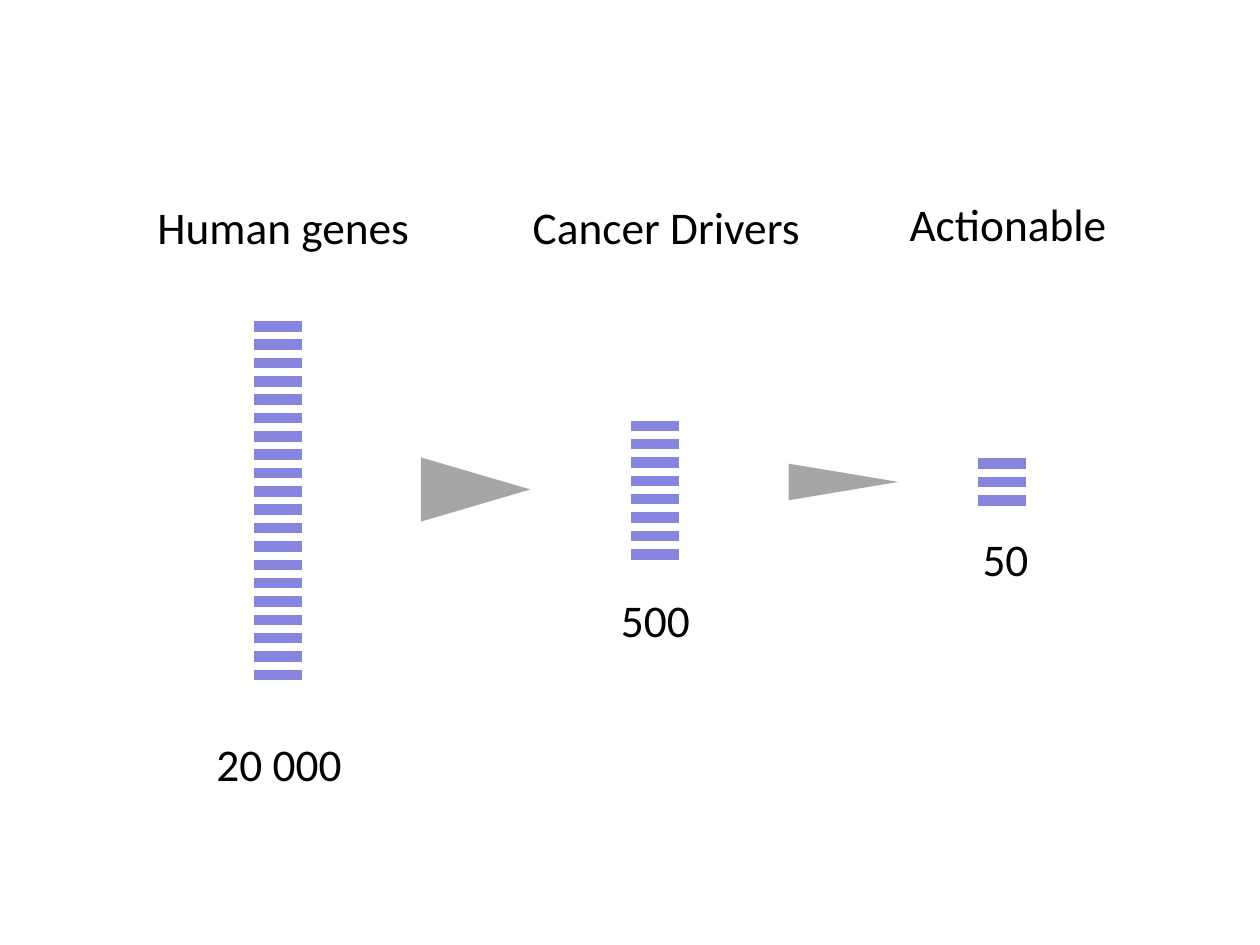
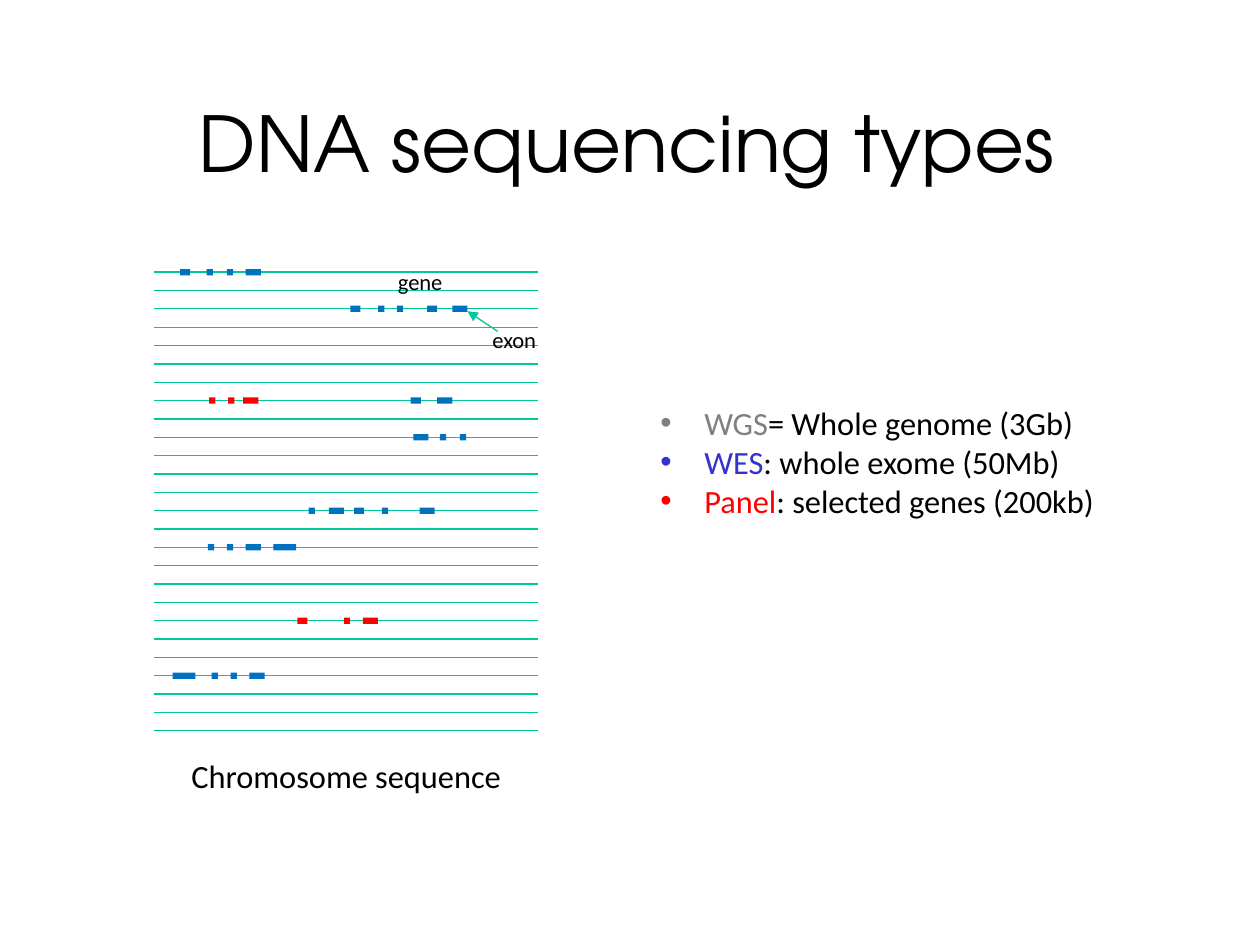
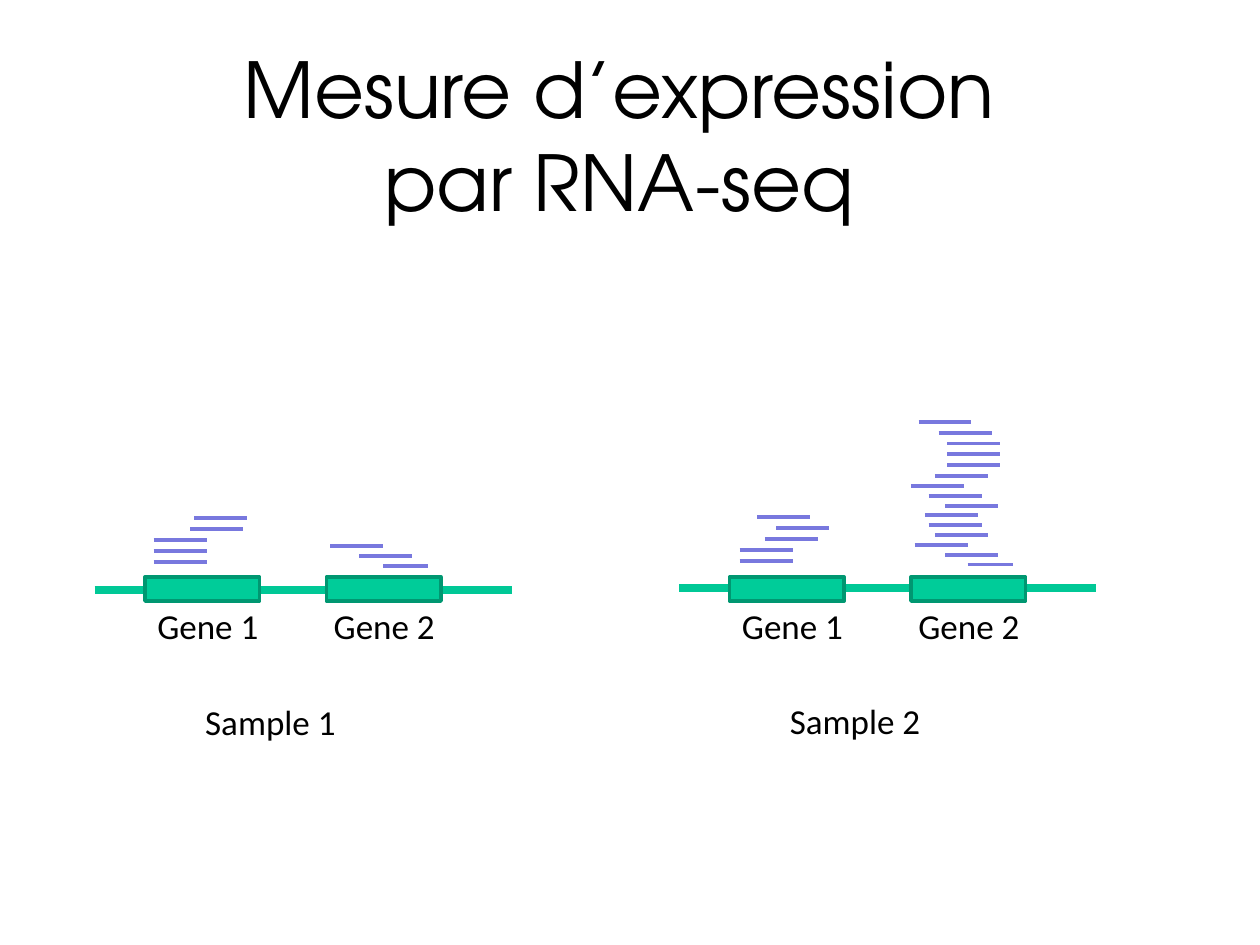
"""Build three slides on cancer genes, DNA sequencing types and RNA-seq."""
from typing import NamedTuple

from lxml import etree
from pptx import Presentation
from pptx.dml.color import RGBColor
from pptx.enum.shapes import MSO_CONNECTOR, MSO_SHAPE
from pptx.enum.text import MSO_ANCHOR, MSO_AUTO_SIZE, PP_ALIGN
from pptx.oxml.ns import qn
from pptx.util import Emu, Inches, Pt

LINE = MSO_CONNECTOR.STRAIGHT
RECT = MSO_SHAPE.RECTANGLE
WEDGE = MSO_SHAPE.ISOSCELES_TRIANGLE
MIDDLE = MSO_ANCHOR.MIDDLE
GROW = MSO_AUTO_SIZE.SHAPE_TO_FIT_TEXT
FIXED = MSO_AUTO_SIZE.NONE
LEFT, CENTER = PP_ALIGN.LEFT, PP_ALIGN.CENTER

BLACK = RGBColor(0x00, 0x00, 0x00)
GRAY = RGBColor(0x80, 0x80, 0x80)
SILVER = RGBColor(0xA6, 0xA6, 0xA6)
LILAC = RGBColor(0x85, 0x85, 0xE0)
VIOLET = RGBColor(0x78, 0x78, 0xDE)
INDIGO = RGBColor(0x33, 0x33, 0xCC)
BLUE = RGBColor(0x00, 0x70, 0xC0)
RED = RGBColor(0xFF, 0x00, 0x00)
GREEN = RGBColor(0x00, 0xC8, 0x96)
MINT = RGBColor(0x00, 0xCC, 0x99)
PINE = RGBColor(0x00, 0x97, 0x71)

BODY_FONT, TITLE_FONT = "Calibri", "TeX Gyre Adventor"
WIDTH, HEIGHT = Inches(10), Inches(7.5)
CELL = WIDTH / 10
STRANDS = 26
TOP, BOTTOM = 2.16, 5.80
STEP = (BOTTOM - TOP) / (STRANDS - 1)
THICK = 0.05
DOT, DASH, BAR, LONG = 0.05, 0.08, 0.12, 0.18
READ, SHORT = 0.42, 0.36


class Box(NamedTuple):
    """Place and size in grid cells."""
    left: float
    top: float
    width: float
    height: float


class Run(NamedTuple):
    """Text in one colour."""
    text: str
    color: RGBColor = BLACK


class Stack(NamedTuple):
    """Ladder of bars with a heading and a count."""
    head: str
    head_box: Box
    left: float
    top: float
    bars: int
    count: str
    count_box: Box


class Gene(NamedTuple):
    """Exons of a gene on one strand, each with a start and a length."""
    row: int
    color: RGBColor
    exons: tuple[tuple[float, float], ...]


class Pile(NamedTuple):
    """Reads evenly piled from low to high."""
    low: float
    high: float
    starts: tuple[float, ...]
    first: float = READ


class Sample(NamedTuple):
    """Chromosome with two genes and their reads."""
    name: str
    left: float
    axis: float
    piles: tuple[Pile, ...]


STACKS = (
    Stack("Human genes", Box(1.15, 1.53, 2.22, 0.54), 2.02, 2.59, 20,
          "20 000", Box(1.62, 5.79, 1.2, 0.54)),
    Stack("Cancer Drivers", Box(4.13, 1.53, 2.33, 0.54), 5.01, 3.38, 8,
          "500", Box(4.83, 4.65, 0.75, 0.54)),
    Stack("Actionable", Box(7.12, 1.51, 1.78, 0.54), 7.76, 3.68, 3,
          "50", Box(7.7, 4.17, 0.57, 0.54)),
)
WEDGES = (Box(3.52, 3.45, 0.51, 0.87), Box(6.55, 3.39, 0.29, 0.87))
GENES = (
    Gene(0, BLUE, ((1.43, DASH), (1.64, DOT), (1.8, DOT), (1.95, BAR))),
    Gene(2, BLUE, ((2.78, DASH), (3, DOT), (3.15, DOT), (3.39, DASH), (3.59, BAR))),
    Gene(7, RED, ((1.66, DOT), (1.81, DOT), (1.93, BAR))),
    Gene(7, BLUE, ((3.26, DASH), (3.47, BAR))),
    Gene(9, BLUE, ((3.28, BAR), (3.49, DOT), (3.65, DOT))),
    Gene(13, BLUE, ((2.45, DOT), (2.61, BAR), (2.81, DASH), (3.03, DOT), (3.33, BAR))),
    Gene(15, BLUE, ((1.65, DOT), (1.8, DOT), (1.95, BAR), (2.17, LONG))),
    Gene(19, RED, ((2.36, DASH), (2.73, DOT), (2.88, BAR))),
    Gene(22, BLUE, ((1.37, LONG), (1.68, DOT), (1.83, DOT), (1.98, BAR))),
)
TYPES = (
    (Run("WGS", GRAY), Run("= Whole genome (3Gb)")),
    (Run("WES", INDIGO), Run(": whole exome (50Mb)")),
    (Run("Panel", RED), Run(": selected genes (200kb)")),
)
SAMPLES = (
    Sample("Sample 1", 0.75, 4.68, (
        Pile(4.46, 4.11, (0.47, 0.47, 0.47, 0.76, 0.79)),
        Pile(4.49, 4.33, (2.29, 2.1, 1.87), SHORT),
    )),
    Sample("Sample 2", 5.39, 4.67, (
        Pile(4.45, 4.1, (0.48, 0.48, 0.68, 0.77, 0.62)),
        Pile(4.48, 3.78, (2.29, 2.11, 1.87, 2.03, 1.98, 1.95, 2.11, 1.98, 1.84, 2.03),
             SHORT),
        Pile(3.69, 3.35, (2.13, 2.13, 2.13, 2.06, 1.9)),
    )),
)


def span(cells: float) -> Emu:
    """Turn grid cells into a length."""
    return Emu(round(cells * CELL))


def place(shape, box: Box) -> None:
    """Move a shape onto the grid."""
    shape.left, shape.top, shape.width, shape.height = map(span, box)


def write(shape, lines, *, size: float, font: str = BODY_FONT, align=LEFT,
          indent: float = 0, fit=GROW, wrap: bool = False) -> None:
    """Fill a shape with one paragraph per line of runs."""
    frame = shape.text_frame
    frame.word_wrap, frame.auto_size = wrap, fit
    for order, runs in enumerate(lines):
        para = frame.add_paragraph() if order else frame.paragraphs[0]
        if indent:
            props = para._p.get_or_add_pPr()
            props.set("marL", str(span(indent)))
            props.set("indent", str(-span(indent)))
        para.alignment, para.space_before = align, Pt(0)
        for item in runs:
            for part, text in enumerate(item.text.split("\n")):
                if part:
                    para.add_line_break()
                run = para.add_run()
                run.text = text
                run.font.size, run.font.name = Pt(size), font
                run.font.color.rgb = item.color


def label(slide, text: str, box: Box, size: float) -> None:
    """Add a line of plain text."""
    write(slide.shapes.add_textbox(*map(span, box)), [[Run(text)]], size=size)


def title(slide, text: str, box: Box) -> None:
    """Fill the title placeholder."""
    shape = slide.shapes.title
    place(shape, box)
    shape.text_frame.vertical_anchor = MIDDLE
    write(shape, [[Run(text)]], size=44, font=TITLE_FONT, align=CENTER,
          fit=FIXED, wrap=True)


def line(slide, start: tuple[float, float], end: tuple[float, float],
         color: RGBColor, weight: float, arrow: bool = False) -> None:
    """Draw a straight line, with an arrowhead at its end if asked."""
    link = slide.shapes.add_connector(LINE, *map(span, (*start, *end)))
    link.line.color.rgb, link.line.width = color, Pt(weight)
    if arrow:
        etree.SubElement(link.line._get_or_add_ln(), qn("a:tailEnd"), type="triangle")
    etree.SubElement(link._element.spPr, qn("a:effectLst"))


def level(slide, left: float, top: float, width: float,
          color: RGBColor, weight: float) -> None:
    """Draw a level line."""
    line(slide, (left, top), (left + width, top), color, weight)


def block(slide, kind, box: Box, fill: RGBColor, edge: RGBColor | None = None,
          turn: float = 0) -> None:
    """Draw a filled shape."""
    shape = slide.shapes.add_shape(kind, *map(span, box))
    shape.shadow.inherit = False
    shape.rotation = turn
    shape.fill.solid()
    shape.fill.fore_color.rgb = fill
    if edge is None:
        shape.line.fill.background()
    else:
        shape.line.color.rgb, shape.line.width = edge, Pt(2)


def funnel(slide) -> None:
    """Show how human genes narrow to actionable ones."""
    for stack in STACKS:
        label(slide, stack.head, stack.head_box, 25.9)
        for bar in range(stack.bars):
            level(slide, stack.left, stack.top + bar * STEP, 0.38, LILAC, 6)
        label(slide, stack.count, stack.count_box, 25.9)
    for box in WEDGES:
        block(slide, WEDGE, box, SILVER, turn=90)


def strands(slide) -> None:
    """Show genes along the chromosome and the types of sequencing."""
    title(slide, "DNA sequencing types", Box(1.05, 0.55, 7.85, 1.15))
    for row in range(STRANDS):
        level(slide, 1.22, TOP + row * STEP, 3.05, GREEN, 0.75)
    for gene in GENES:
        top = TOP + gene.row * STEP - THICK / 2
        for left, width in gene.exons:
            block(slide, RECT, Box(left, top, width, THICK), gene.color)
    body = slide.placeholders[1]
    place(body, Box(5.14, 3.15, 3.67, 1.03))
    write(body, TYPES, size=18.5, indent=0.35)
    label(slide, "Chromosome sequence", Box(1.42, 5.95, 2.68, 0.41), 18.5)
    label(slide, "gene", Box(3.06, 2.08, 0.56, 0.32), 12.9)
    label(slide, "exon", Box(3.81, 2.54, 0.55, 0.32), 12.9)
    line(slide, (3.95, 2.63), (3.71, 2.47), GREEN, 0.75, arrow=True)


def counts(slide) -> None:
    """Compare reads per gene in two samples."""
    title(slide, "Mesure d’expression \npar RNA-seq ", Box(0.75, 0.44, 8.5, 1.25))
    for sample in SAMPLES:
        left = sample.left
        level(slide, left, sample.axis, 3.31, GREEN, 4.5)
        for order in range(2):
            block(slide, RECT, Box(left + 0.4 + order * 1.44, 4.58, 0.91, 0.19), MINT, PINE)
            label(slide, f"Gene {order + 1}",
                  Box(left + 0.4 + order * 1.4, 4.75, 1.01, 0.44), 20)
        for pile in sample.piles:
            rise = (pile.high - pile.low) / (len(pile.starts) - 1)
            for order, start in enumerate(pile.starts):
                width = READ if order else pile.first
                level(slide, left + start, pile.low + order * rise, width, VIOLET, 2.25)
        label(slide, sample.name, Box(left + 0.78, sample.axis + 0.83, 1.25, 0.44), 20)


def main() -> None:
    """Build and save the deck."""
    deck = Presentation()
    deck.slide_width, deck.slide_height = WIDTH, HEIGHT
    for layout, draw in ((6, funnel), (1, strands), (5, counts)):
        draw(deck.slides.add_slide(deck.slide_layouts[layout]))
    deck.save("out.pptx")


if __name__ == "__main__":
    main()
